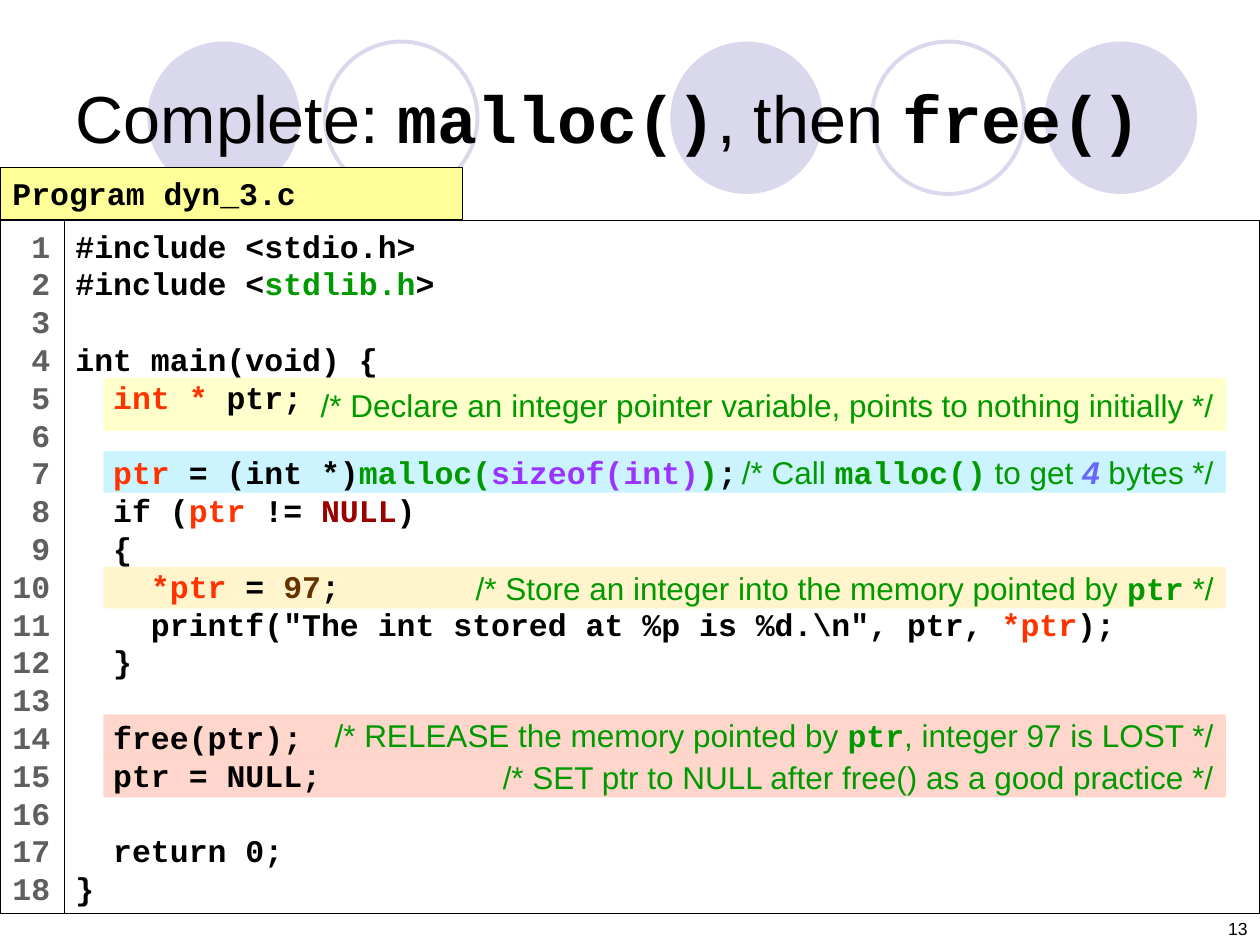
"""Build a slide that walks through a complete malloc() and free() program."""
from typing import NamedTuple, Optional

from lxml import etree
from pptx import Presentation
from pptx import util as u
from pptx.dml.color import RGBColor
from pptx.enum import shapes, text
from pptx.oxml.ns import qn

SANS, MONO = "Arial", "Courier New"
BLACK, GREEN, RED, LILAC = "000000", "009900", "FF3300", "D9D8EC"
LINE_PITCH = u.Pt(21.6)


class Span(NamedTuple):
    text: str
    color: Optional[str] = None
    font: Optional[str] = None
    bold: Optional[bool] = None
    italic: Optional[bool] = None


class Style(NamedTuple):
    font: str
    size: float
    color: str
    bold: bool = False


class Circle(NamedTuple):
    left: float
    filled: bool


class Band(NamedTuple):
    top: float
    height: float
    color: str
    spans: list


def mono(words):
    return Span(words, font=MONO, bold=True)


CODE_STYLE = Style(MONO, 18, BLACK, True)
COMMENT_STYLE = Style(SANS, 18, GREEN)
TITLE = [Span("Complete: "), mono("malloc()"), Span(", then "), mono("free()")]
CIRCLES = [Circle(1.17, True), Circle(2.58, False), Circle(5.32, True),
           Circle(6.92, False), Circle(8.29, True)]
BANDS = [
    Band(3, 0.42, "FFFF00",
         [Span("/* Declare an integer pointer variable, points to nothing initially */")]),
    Band(3.58, 0.33, "00CCFF",
         [Span("/* Call "), mono("malloc()"), Span(" to get "),
          Span("4", "6767FF", bold=True, italic=True), Span(" bytes */")]),
    Band(4.5, 0.33, "FFCC00",
         [Span("/* Store an integer into the memory pointed by "), mono("ptr"), Span(" */")]),
    Band(5.67, 0.33, RED,
         [Span("/* RELEASE the memory pointed by "), mono("ptr"),
          Span(", integer 97 is LOST */")]),
    Band(6, 0.33, RED, [Span("/* SET ptr to NULL after free() as a good practice */")]),
]
CODE = [
    [Span("#include <stdio.h>")],
    [Span("#include <"), Span("stdlib.h", GREEN), Span(">")],
    [],
    [Span("int main(void) {")],
    [Span("  int * ", RED), Span("ptr;")],
    [],
    [Span("  ptr", RED), Span(" = (int *)"), Span("malloc(", GREEN),
     Span("sizeof(int)", "9933FF"), Span(")", GREEN), Span(";")],
    [Span("  if ("), Span("ptr", RED), Span(" != "), Span("NULL", "990000"), Span(")")],
    [Span("  {")],
    [Span("    "), Span("*ptr", RED), Span(" = "), Span("97", "663300"), Span(";")],
    [Span('    printf("The int stored at %p is %d.\\n", ptr, '), Span("*ptr", RED), Span(");")],
    [Span("  }")],
    [],
    [Span("  free(ptr);")],
    [Span("  ptr = NULL;")],
    [],
    [Span("  return 0;")],
    [Span("}")],
]


def rgb(color: str) -> RGBColor:
    return RGBColor.from_string(color)


def add_box(page, kind, left: float, top: float, width: float, height: float,
            fill: Optional[str] = None, line: Optional[str] = None,
            weight: float = 0.75, opacity: int = 100):
    box = page.shapes.add_shape(kind, *map(u.Inches, (left, top, width, height)))
    box.shadow.inherit = False
    if fill:
        box.fill.solid()
        box.fill.fore_color.rgb = rgb(fill)
        if opacity < 100:
            color = box.fill._xPr.find(f"{qn('a:solidFill')}/{qn('a:srgbClr')}")
            etree.SubElement(color, qn("a:alpha"), val=str(opacity * 1000))
    else:
        box.fill.background()
    if line:
        box.line.color.rgb = rgb(line)
        box.line.width = u.Pt(weight)
    else:
        box.line.fill.background()
    return box


def write(box, lines: list, style: Style, align=text.PP_ALIGN.LEFT,
          anchor=text.MSO_ANCHOR.TOP, pitch=None) -> None:
    frame = box.text_frame
    frame.word_wrap = True
    frame.auto_size = text.MSO_AUTO_SIZE.NONE
    frame.vertical_anchor = anchor
    for index, spans in enumerate(lines):
        para = frame.add_paragraph() if index else frame.paragraphs[0]
        para.alignment = align
        if pitch:
            para.line_spacing = pitch
        para.font.name, para.font.size = style.font, u.Pt(style.size)
        para.font.bold = style.bold
        para.font.color.rgb = rgb(style.color)
        for span in spans:
            run = para.add_run()
            run.text = span.text
            if span.font:
                run.font.name = span.font
            if span.bold:
                run.font.bold = True
            if span.italic:
                run.font.italic = True
            run.font.color.rgb = rgb(span.color or style.color)


def add_circle(page, circle: Circle) -> None:
    look = {"fill": LILAC} if circle.filled else {"line": LILAC, "weight": 2.25}
    add_box(page, shapes.MSO_SHAPE.OVAL, circle.left, 0.33, 1.21, 1.21, **look)


def add_band(page, band: Band) -> None:
    box = add_box(page, shapes.MSO_SHAPE.RECTANGLE, 0.82, band.top, 8.91, band.height,
                  fill=band.color, opacity=20)
    write(box, [band.spans], COMMENT_STYLE, text.PP_ALIGN.RIGHT, text.MSO_ANCHOR.MIDDLE)


def add_title(page) -> None:
    title = page.shapes.title
    title.left, title.top, title.width, title.height = map(u.Inches, (0.5, 0.3, 9, 1.25))
    write(title, [TITLE], Style(SANS, 38, BLACK), anchor=text.MSO_ANCHOR.MIDDLE)
    title._element.getparent().append(title._element)


def add_program(page) -> None:
    rectangle = shapes.MSO_SHAPE.RECTANGLE
    listing = add_box(page, rectangle, 0.5, 1.75, 9.5, 5.5, line=BLACK)
    write(listing, CODE, CODE_STYLE, pitch=LINE_PITCH)
    gutter = add_box(page, rectangle, 0, 1.75, 0.51, 5.5, fill="FFFFFF", line=BLACK)
    gutter.text_frame.margin_right = 0
    numbers = [[Span(f"{number:2}")] for number in range(1, len(CODE) + 1)]
    write(gutter, numbers, CODE_STYLE._replace(color="5F5F5F"), pitch=LINE_PITCH)
    label = add_box(page, rectangle, 0, 1.33, 3.67, 0.41, fill="FFFF99", line=BLACK)
    write(label, [[Span("Program dyn_3.c")]], CODE_STYLE, pitch=LINE_PITCH)


def main() -> None:
    deck = Presentation()
    deck.slide_width, deck.slide_height = u.Inches(10), u.Inches(7.5)
    page = deck.slides.add_slide(deck.slide_layouts.get_by_name("Title Only"))
    for circle in CIRCLES:
        add_circle(page, circle)
    number = page.shapes.add_textbox(*map(u.Inches, (7.67, 7, 2.33, 0.5)))
    write(number, [[Span("13")]], Style(SANS, 10, BLACK),
          text.PP_ALIGN.RIGHT, text.MSO_ANCHOR.BOTTOM)
    for band in BANDS:
        add_band(page, band)
    add_title(page)
    add_program(page)
    deck.save("out.pptx")


if __name__ == "__main__":
    main()
